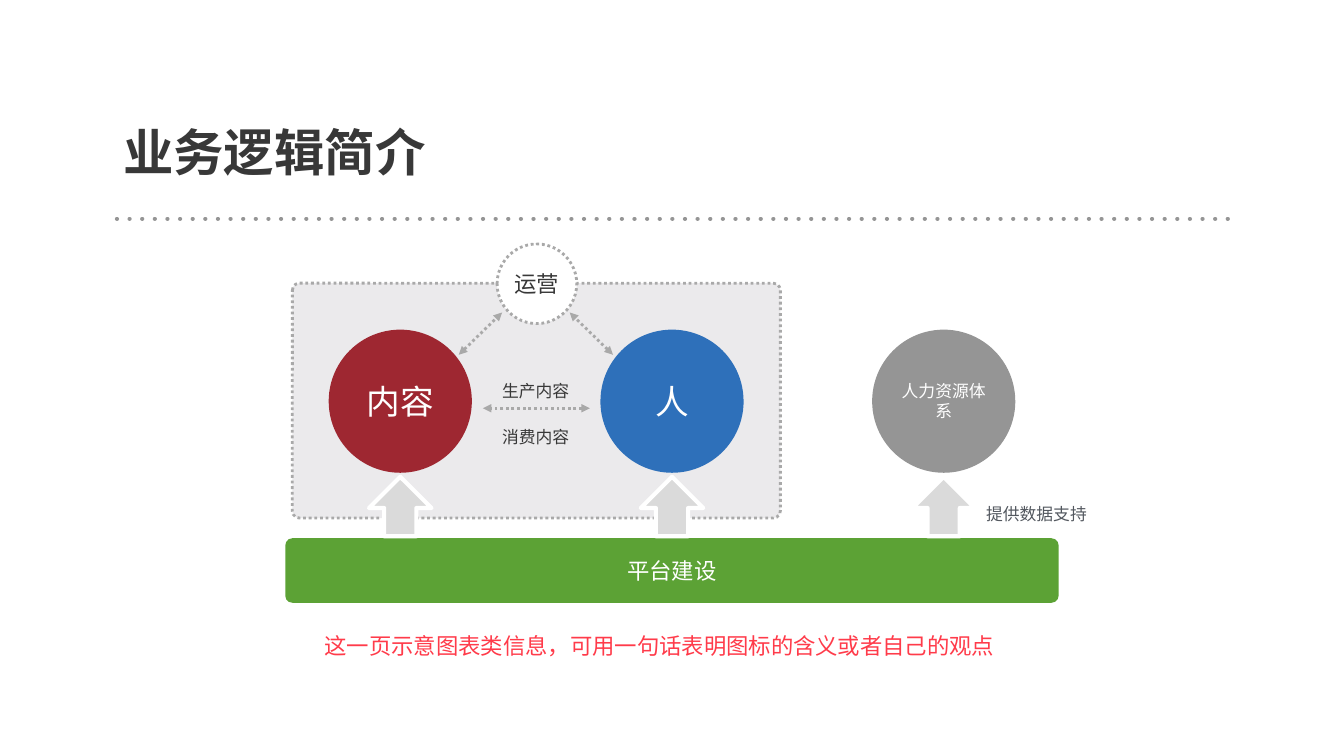
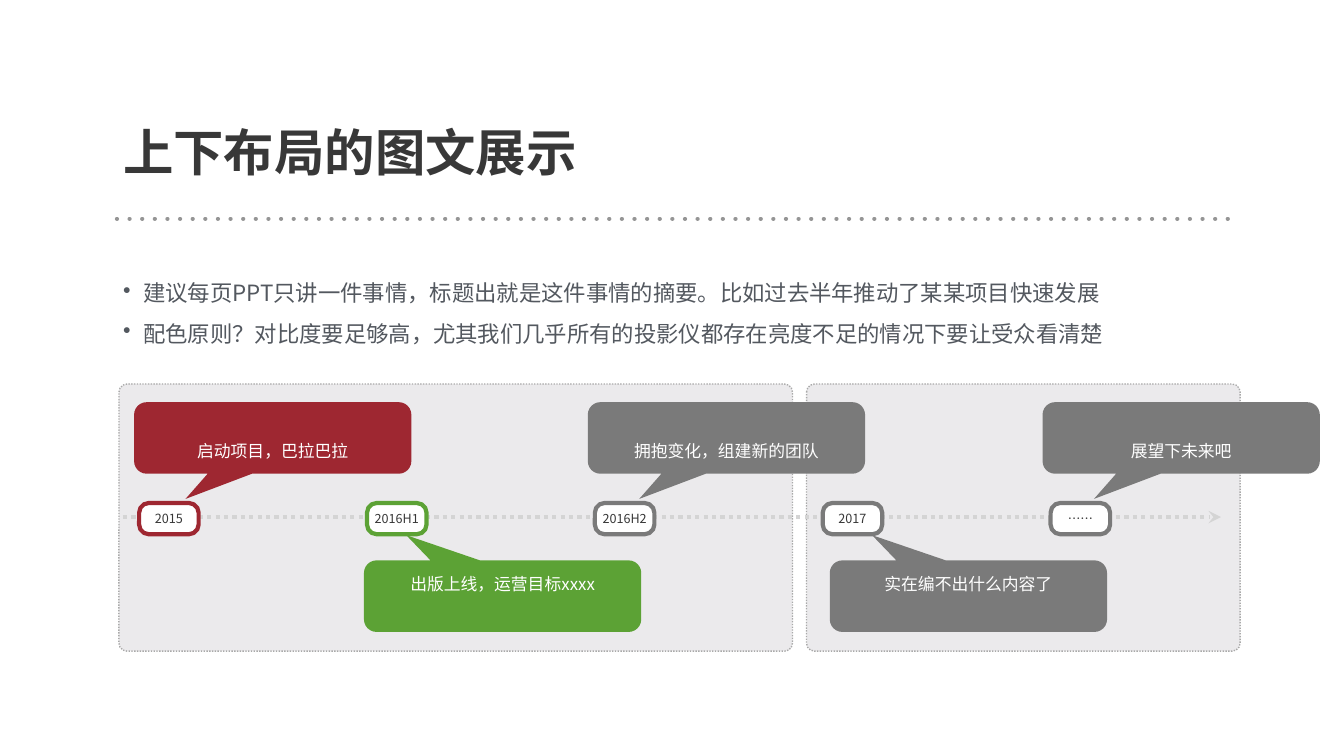
import math

import pptx
import pptx.util
from lxml import etree
from pptx.dml.color import RGBColor
from pptx.enum.shapes import MSO_CONNECTOR, MSO_SHAPE
from pptx.enum.text import MSO_ANCHOR, MSO_AUTO_SIZE, PP_ALIGN
from pptx.oxml.ns import qn
from pptx.util import Inches, Pt

LATIN = "Arial"
CJK = "Noto Sans CJK SC"

WHITE = RGBColor(0xFF, 0xFF, 0xFF)
INK = RGBColor(0x38, 0x38, 0x38)
BODY = RGBColor(0x53, 0x58, 0x5F)
RED = RGBColor(0x9E, 0x27, 0x31)
BLUE = RGBColor(0x2E, 0x70, 0xBA)
GREEN = RGBColor(0x5C, 0xA2, 0x35)
GRAY = RGBColor(0x95, 0x95, 0x95)
DARK_GRAY = RGBColor(0x7A, 0x7A, 0x7A)
DOTS = RGBColor(0xA9, 0xA9, 0xA9)
AXIS = RGBColor(0xD4, 0xD4, 0xD4)
ARROW = RGBColor(0xDA, 0xDA, 0xDA)
PANEL = RGBColor(0xEB, 0xEA, 0xEC)
NOTE = RGBColor(0xFF, 0x3B, 0x4A)


def sub(parent, tag, **attrs):
    return etree.SubElement(parent, qn(tag), attrs)


def set_line(shape, color, width, dash=None):
    """Style an outline and return its a:ln element."""
    shape.line.color.rgb = color
    shape.line.width = Pt(width)
    ln = shape._element.spPr.find(qn("a:ln"))
    if dash:
        sub(ln, "a:prstDash", val=dash)
    return ln


def paint(shape, fill, line=None, width=1, dash=None):
    shape.shadow.inherit = False
    shape.fill.solid()
    shape.fill.fore_color.rgb = fill
    if line is None:
        shape.line.fill.background()
    else:
        set_line(shape, line, width, dash)
    return shape


def style(p, size, color, font=CJK, bold=False):
    p.font.size = Pt(size)
    p.font.name = font
    p.font.bold = bold
    p.font.color.rgb = color


def set_inset(tf, inset):
    tf.margin_left = tf.margin_right = Inches(inset)
    tf.margin_top = tf.margin_bottom = Inches(inset)


def label(shape, text, size, color=WHITE, font=CJK, inset=0.04):
    """Write one centred paragraph inside a shape."""
    tf = shape.text_frame
    tf.word_wrap = True
    tf.vertical_anchor = MSO_ANCHOR.MIDDLE
    set_inset(tf, inset)
    p = tf.paragraphs[0]
    p.text = text
    p.alignment = PP_ALIGN.CENTER
    style(p, size, color, font)


def add_text(s, box, lines, size, color, font=CJK, bold=False, spacing=1.5,
             bullet=False, inset=0.04):
    tf = s.shapes.add_textbox(*map(Inches, box)).text_frame
    tf.word_wrap = False
    tf.auto_size = MSO_AUTO_SIZE.SHAPE_TO_FIT_TEXT
    tf.vertical_anchor = MSO_ANCHOR.TOP if bullet else MSO_ANCHOR.MIDDLE
    set_inset(tf, inset)
    for i, text in enumerate(lines):
        p = tf.add_paragraph() if i else tf.paragraphs[0]
        p.text = text
        p.line_spacing = spacing
        if bullet:
            pPr = p._p.get_or_add_pPr()
            pPr.set("marL", str(Inches(0.2)))
            pPr.set("indent", str(-Inches(0.2)))
            sub(pPr, "a:buChar", char="•")
        style(p, size, color, font, bold)


def add_round(s, box, radius, fill, line=None, width=1, dash=None):
    """Add a rounded rectangle; radius is a share of the shorter side."""
    shape = s.shapes.add_shape(MSO_SHAPE.ROUNDED_RECTANGLE, *map(Inches, box))
    shape.adjustments[0] = radius
    return paint(shape, fill, line, width, dash)


def add_line(s, start, end, color, width, dash=None, head=None, tail=None):
    line = s.shapes.add_connector(MSO_CONNECTOR.STRAIGHT,
                                  *map(Inches, start + end))
    ln = set_line(line, color, width, dash)
    for tag, kind in (("a:headEnd", head), ("a:tailEnd", tail)):
        if kind:
            sub(ln, tag, type=kind)
    sub(line._element.spPr, "a:effectLst")
    return ln


def add_outline(s, points):
    points = [(Inches(x), Inches(y)) for x, y in points]
    builder = s.shapes.build_freeform(*points[0])
    builder.add_line_segments(points[1:], close=True)
    return builder.convert_to_shape()


def add_slide(prs, title, title_width):
    """Start a slide with the shared heading and its row of round dots."""
    s = prs.slides.add_slide(prs.slide_layouts[6])
    add_text(s, (1.18, 1.12, title_width, 0.77), [title], 36, INK,
             font=LATIN, bold=True, spacing=1)
    ln = add_line(s, (1.16, 2.17), (12.18, 2.17), GRAY, 3)
    ln.set("cap", "rnd")
    sub(sub(ln, "a:custDash"), "a:ds", d="100000", sp="200000")
    return s


def up_arrow(s, center, top):
    stem, head, shoulder, bottom = 0.16, 0.31, top + 0.31, top + 0.59
    right = [(0, top), (head, shoulder), (stem, shoulder), (stem, bottom)]
    left = [(-x, y) for x, y in reversed(right[1:])]
    arrow = add_outline(s, [(center + x, y) for x, y in right + left])
    paint(arrow, ARROW, WHITE, 3)


def business_diagram(s, left, top):
    """Content and people on one platform, linked by operations."""
    add_round(s, (left + 0.07, top + 0.39, 4.84, 2.33), 0.03, PANEL,
              DOTS, 2, "sysDot")
    platform = add_round(s, (left, top + 2.92, 7.67, 0.64), 0.11, GREEN)
    label(platform, "平台建设", 16, font=LATIN)

    size = 1.42
    pillars = [("内容", RED, 24, LATIN), ("人", BLUE, 24, LATIN),
               ("人力资源体系", GRAY, 12, CJK)]
    for i, (text, color, pt, font) in enumerate(pillars):
        x = left + 0.43 + 2.695 * i
        disc = add_round(s, (x, top + 0.85, size, size), 0.5, color)
        label(disc, text, pt, font=font)
        up_arrow(s, x + size / 2, top + 2.31)

    operations = add_round(s, (left + 2.1, top, 0.79, 0.79), 0.5, WHITE,
                           DOTS, 2, "sysDot")
    label(operations, "运营", 16, INK)

    links = [((3.25, 1.1), (2.82, 0.68)), ((1.72, 1.1), (2.15, 0.68)),
             ((3.02, 1.63), (1.96, 1.63))]
    for start, end in links:
        add_line(s, (left + start[0], top + start[1]),
                 (left + end[0], top + end[1]),
                 DOTS, 2, "sysDot", "triangle", "triangle")

    captions = [("生产内容", 2.11, 1.25, 0.76, INK),
                ("消费内容", 2.11, 1.71, 0.76, INK),
                ("提供数据支持", 6.91, 2.47, 1.09, BODY)]
    for text, x, y, width, color in captions:
        add_text(s, (left + x, top + y, width, 0.31), [text], 12, color)


def callout(s, left, top, text, color, above):
    """Speech box whose tail points down when above the axis, else up."""
    width, height, tail, radius, steps = 2.75, 0.71, 0.25, 0.125, 6
    y0 = top if above else top + tail
    y1 = y0 + height
    corners = [(left + radius, y0 + radius, 180),
               (left + width - radius, y0 + radius, 270),
               (left + width - radius, y1 - radius, 0),
               (left + radius, y1 - radius, 90)]
    arcs = []
    for cx, cy, start in corners:
        angles = [math.radians(start + 90 * k / steps)
                  for k in range(steps + 1)]
        arcs.append([(cx + radius * math.cos(a), cy + radius * math.sin(a))
                     for a in angles])
    if above:
        wedge = [(1.17, y1), (0.51, y1 + tail), (0.73, y1)]
        at = 3
    else:
        wedge = [(0.66, y0), (0.42, top), (1.15, y0)]
        at = 1
    arcs.insert(at, [(left + x, y) for x, y in wedge])
    box = paint(add_outline(s, sum(arcs, [])), color)
    label(box, text, 12, inset=0.1)


def timeline(s, left, top):
    for x, width in ((0, 6.68), (6.82, 4.3)):
        add_round(s, (left + x, top, width, 2.65), 0.03, PANEL,
                  DOTS, 1, "sysDot")
    axis = top + 1.32
    add_line(s, (left + 0.04, axis), (left + 10.93, axis), AXIS, 3,
             "sysDot", tail="stealth")

    milestones = [("2015", RED, 0.15, "启动项目，巴拉巴拉"),
                  ("2016H1", GREEN, 2.43, "出版上线，运营目标xxxx"),
                  ("2016H2", DARK_GRAY, 4.65, "拥抱变化，组建新的团队"),
                  ("2017", DARK_GRAY, 7.05, "实在编不出什么内容了"),
                  ("……", DARK_GRAY, 9.16, "展望下未来吧")]
    for i, (date, color, x, text) in enumerate(milestones):
        above = i % 2 == 0
        callout(s, left + x, top + (0.18 if above else 1.5), text, color,
                above)
        pill = add_round(s, (left + 0.2 + 2.26 * i, top + 1.18, 0.59, 0.31),
                         0.31, WHITE, color, 3)
        label(pill, date, 9, INK, inset=0)


def main():
    prs = pptx.Presentation()
    prs.slide_width, prs.slide_height = Inches(13.33), Inches(7.5)

    s = add_slide(prs, "业务逻辑简介", 3.09)
    business_diagram(s, 2.83, 2.42)
    add_text(s, (3.19, 6.16, 6.74, 0.36),
             ["这一页示意图表类信息，可用一句话表明图标的含义或者自己的观点"],
             16, NOTE, inset=0.03)

    s = add_slide(prs, "上下布局的图文展示", 4.59)
    add_text(s, (1.18, 2.6, 9.89, 0.84),
             ["建议每页PPT只讲一件事情，标题出就是这件事情的摘要。"
              "比如过去半年推动了某某项目快速发展",
              "配色原则？对比度要足够高，尤其我们几乎所有的投影仪都存在"
              "亮度不足的情况下要让受众看清楚"],
             16, BODY, bullet=True)
    timeline(s, 1.18, 3.81)

    prs.save("out.pptx")


if __name__ == "__main__":
    main()
